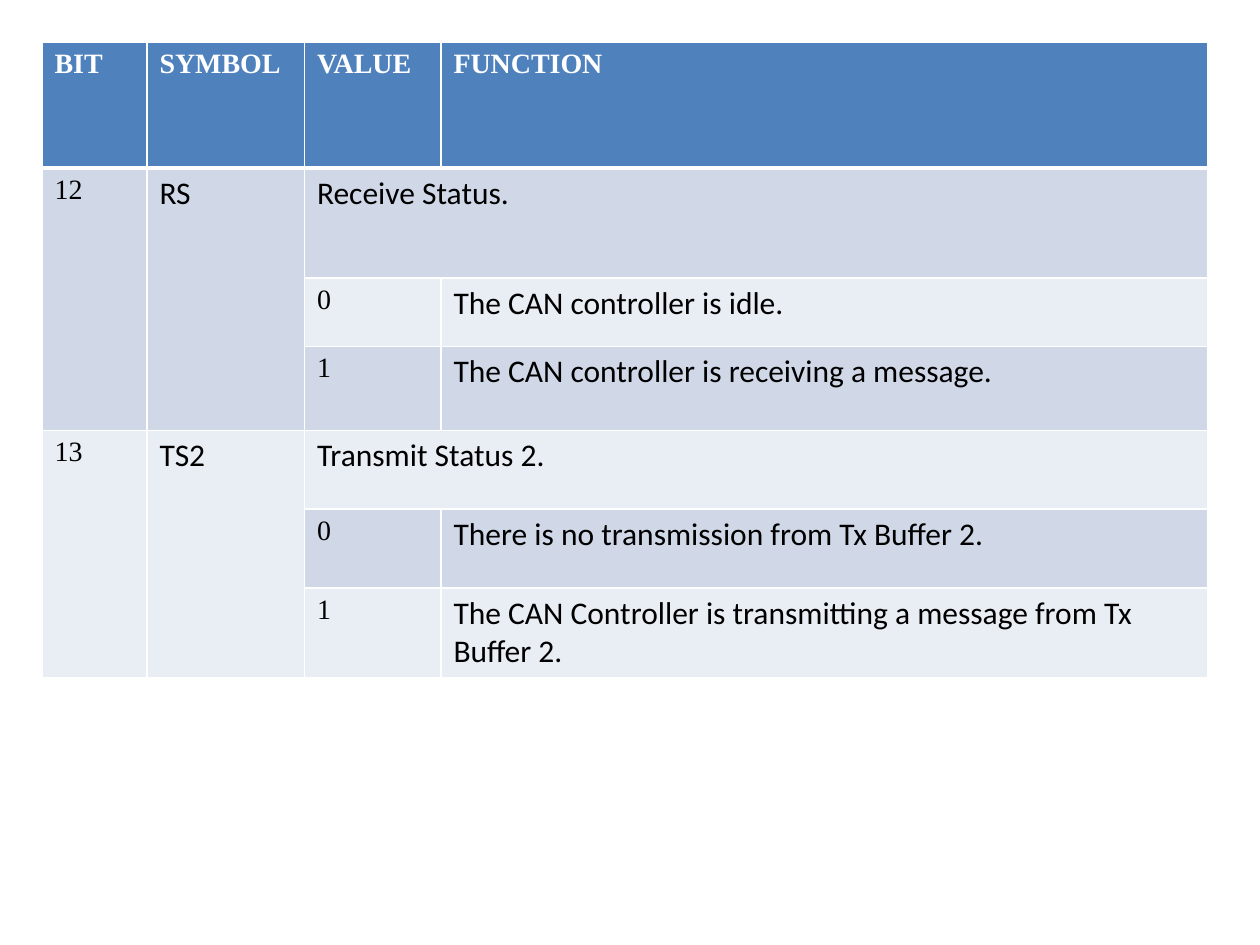
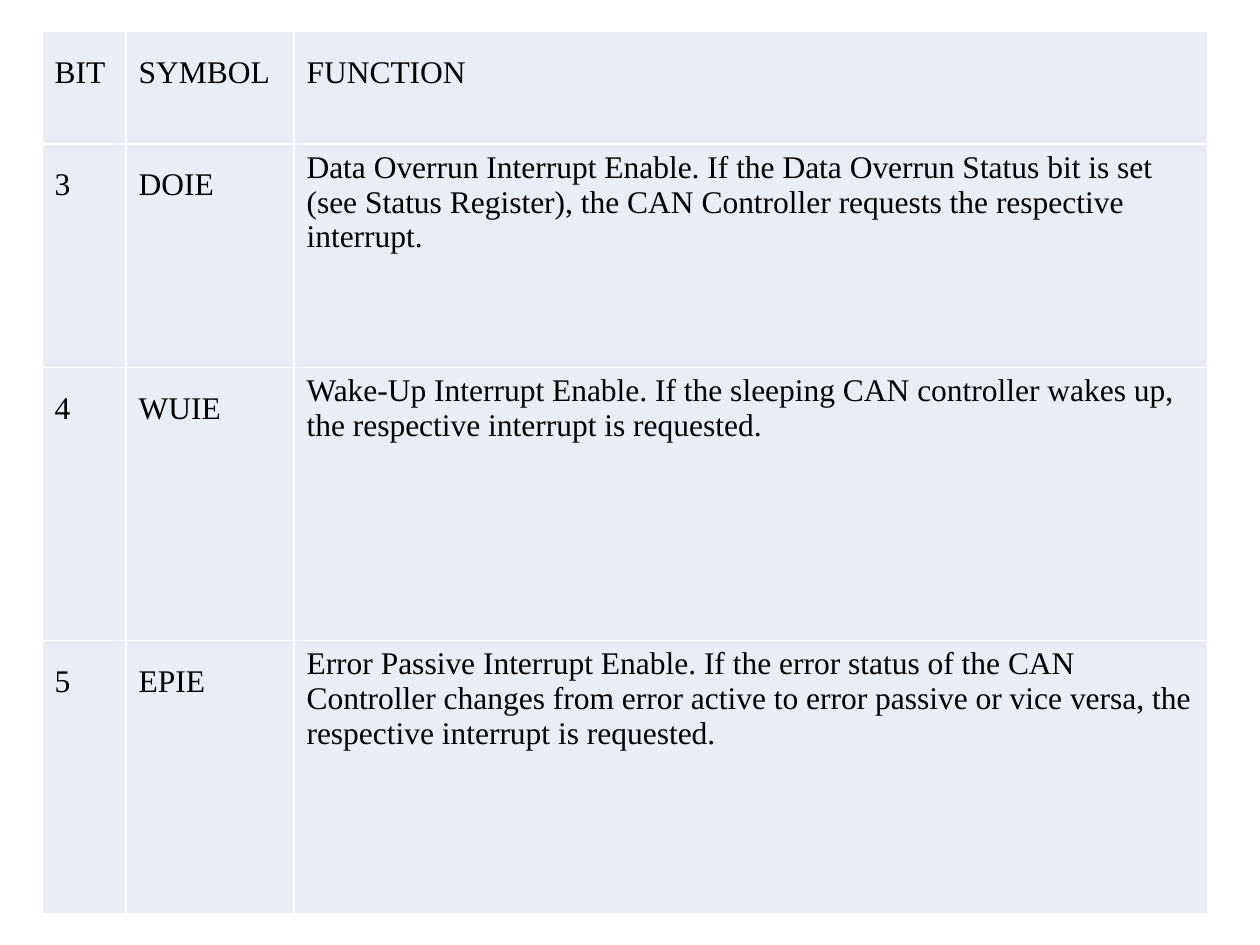
"""Build two slides of CAN controller register tables."""
from dataclasses import dataclass
from typing import NamedTuple

from lxml.etree import SubElement
from pptx import Presentation
from pptx.dml.color import RGBColor as Color
from pptx.oxml.ns import qn
from pptx.util import Inches, Pt

UNIT = Inches(1) / 12


@dataclass(frozen=True)
class Theme:
    """Colours, fonts and sizes shared by the slides."""
    header: str = "4F81BD"
    dark_band: str = "D0D8E8"
    light_band: str = "E9EDF4"
    border: str = "FFFFFF"
    header_text: str = "FFFFFF"
    body_text: str = "000000"
    serif: str = "Times New Roman"
    sans: str = "Calibri"
    small: int = 16
    large: int = 18
    thin: int = 1
    thick: int = 3


THEME = Theme()


class TextStyle(NamedTuple):
    """The look of the text in one cell."""
    font: str
    size: int
    color: str = THEME.body_text
    bold: bool = False
    line_spacing: float = 1.0


HEADING = TextStyle(THEME.serif, THEME.small, THEME.header_text, True)
NUMBER = TextStyle(THEME.serif, THEME.small)
WORDS = TextStyle(THEME.sans, THEME.large)
LABEL = TextStyle(THEME.serif, THEME.large, line_spacing=1.5)
DETAIL = TextStyle(THEME.serif, THEME.large)


class Entry(NamedTuple):
    """One filled cell and the rows and columns it covers."""
    row: int
    column: int
    text: str
    style: TextStyle
    rows: int = 1
    columns: int = 1


class RegisterTable(NamedTuple):
    """A table measured in twelfths of an inch."""
    left: float
    top: float
    columns: tuple[float, ...]
    rows: tuple[float, ...]
    fills: tuple[str, ...]
    entries: list[Entry]
    header_rule: bool = False


class StatusBit(NamedTuple):
    """A status bit with the meaning of its values 0 and 1."""
    number: str
    symbol: str
    name: str
    meanings: tuple[str, str]


STATUS_BITS = (
    StatusBit("12", "RS", "Receive Status.", (
        "The CAN controller is idle.",
        "The CAN controller is receiving a message.")),
    StatusBit("13", "TS2", "Transmit Status 2.", (
        "There is no transmission from Tx Buffer 2.",
        "The CAN Controller is transmitting a message from Tx Buffer 2.")),
)

INTERRUPT_ROWS = (
    ("BIT", "SYMBOL", "FUNCTION"),
    ("3", "DOIE", "Data Overrun Interrupt Enable. If the Data Overrun Status bit is set "
     "(see Status Register), the CAN Controller requests the respective interrupt."),
    ("4", "WUIE", "Wake-Up Interrupt Enable. If the sleeping CAN controller wakes up, "
     "the respective interrupt is requested."),
    ("5", "EPIE", "Error Passive Interrupt Enable. If the error status of the CAN Controller "
     "changes from error active to error passive or vice versa, "
     "the respective interrupt is requested."),
)


def status_entries() -> list[Entry]:
    """Lay out the headings and three rows for each status bit."""
    headings = ("BIT", "SYMBOL", "VALUE", "FUNCTION")
    entries = [Entry(0, column, text, HEADING) for column, text in enumerate(headings)]
    for index, bit in enumerate(STATUS_BITS):
        first = 1 + 3 * index
        entries += [Entry(first, 0, bit.number, NUMBER, rows=3),
                    Entry(first, 1, bit.symbol, WORDS, rows=3),
                    Entry(first, 2, bit.name, WORDS, columns=2)]
        for value, meaning in enumerate(bit.meanings):
            row = first + 1 + value
            entries += [Entry(row, 2, str(value), NUMBER), Entry(row, 3, meaning, WORDS)]
    return entries


def interrupt_entries() -> list[Entry]:
    """Lay out the interrupt rows, with running text in the last column."""
    return [Entry(row, column, text, DETAIL if row and column == 2 else LABEL)
            for row, texts in enumerate(INTERRUPT_ROWS)
            for column, text in enumerate(texts)]


def draw_borders(cell, top: int, bottom: int) -> None:
    """Give a cell its four borders."""
    properties = cell._tc.get_or_add_tcPr()
    widths = {"lnL": THEME.thin, "lnR": THEME.thin, "lnT": top, "lnB": bottom}
    for position, (side, width) in enumerate(widths.items()):
        line = SubElement(properties, qn(f"a:{side}"), w=str(Pt(width)))
        fill = SubElement(line, qn("a:solidFill"))
        SubElement(fill, qn("a:srgbClr"), val=THEME.border)
        properties.insert(position, line)


def write_entry(table, entry: Entry) -> None:
    """Merge the cells of an entry and write its text."""
    cell = table.cell(entry.row, entry.column)
    if entry.rows > 1 or entry.columns > 1:
        cell.merge(table.cell(entry.row + entry.rows - 1, entry.column + entry.columns - 1))
    paragraph = cell.text_frame.paragraphs[0]
    paragraph.text = entry.text
    paragraph.line_spacing = entry.style.line_spacing
    font = paragraph.font
    font.name, font.size, font.bold = entry.style.font, Pt(entry.style.size), entry.style.bold
    font.color.rgb = Color.from_string(entry.style.color)


def draw_table(slide, register: RegisterTable) -> None:
    """Draw a register table on a slide."""
    frame = slide.shapes.add_table(
        len(register.rows), len(register.columns),
        int(register.left * UNIT), int(register.top * UNIT),
        int(sum(register.columns) * UNIT), int(sum(register.rows) * UNIT))
    table = frame.table
    table.first_row = table.horz_banding = False
    for column, width in zip(table.columns, register.columns):
        column.width = int(width * UNIT)
    for index, (row, height) in enumerate(zip(table.rows, register.rows)):
        row.height = int(height * UNIT)
        top = THEME.thick if register.header_rule and index == 1 else THEME.thin
        bottom = THEME.thick if register.header_rule and index == 0 else THEME.thin
        for cell in row.cells:
            cell.fill.solid()
            cell.fill.fore_color.rgb = Color.from_string(register.fills[index])
            draw_borders(cell, top, bottom)
    for entry in register.entries:
        write_entry(table, entry)


def main() -> None:
    """Build and save the presentation."""
    presentation = Presentation()
    presentation.slide_width, presentation.slide_height = Inches(10), Inches(7.5)
    tables = (
        RegisterTable(4, 4, (10, 15, 13, 73), (12, 10.5, 6.5, 8, 7.5, 7.5, 7.5),
                      (THEME.header,) + (THEME.dark_band, THEME.light_band) * 3,
                      status_entries(), header_rule=True),
        RegisterTable(4, 3, (8, 16, 87), (10.7, 21.3, 26, 26),
                      (THEME.light_band,) * 4, interrupt_entries()),
    )
    for register in tables:
        slide = presentation.slides.add_slide(presentation.slide_layouts[6])
        draw_table(slide, register)
    presentation.save("out.pptx")


if __name__ == "__main__":
    main()
